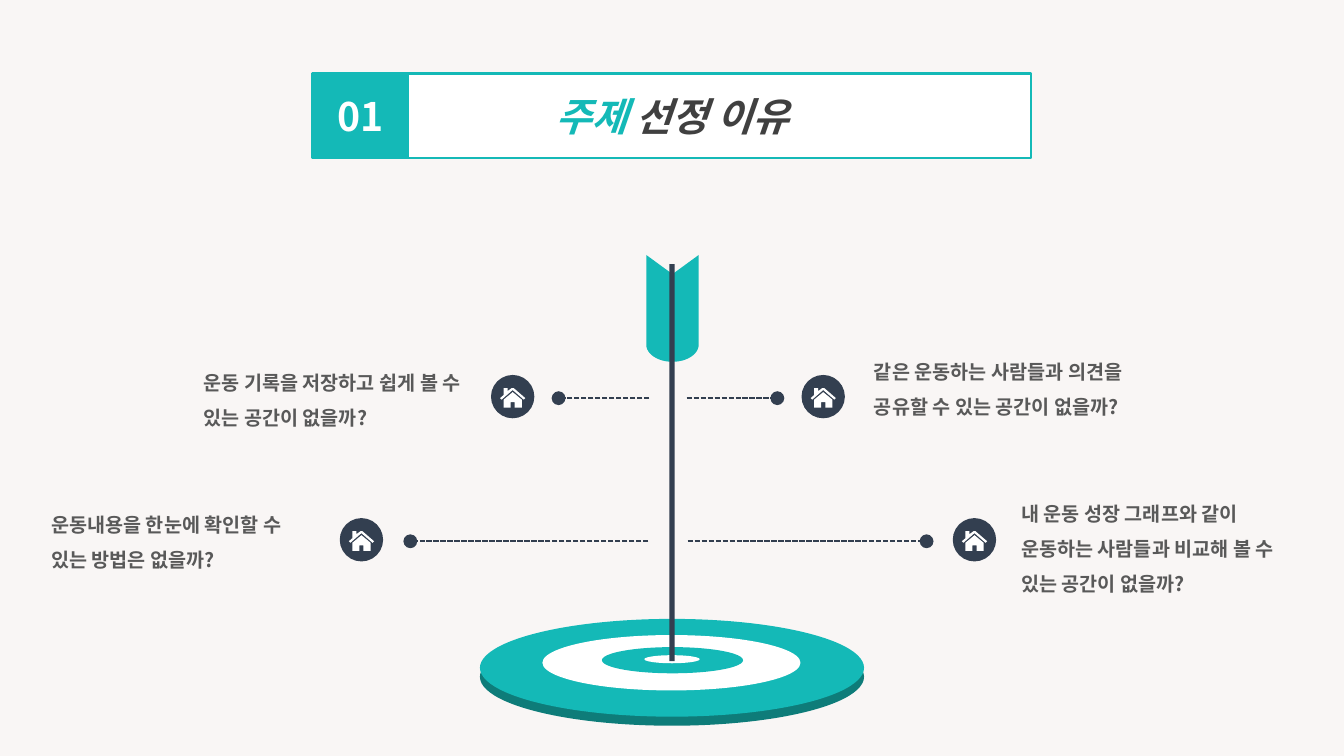
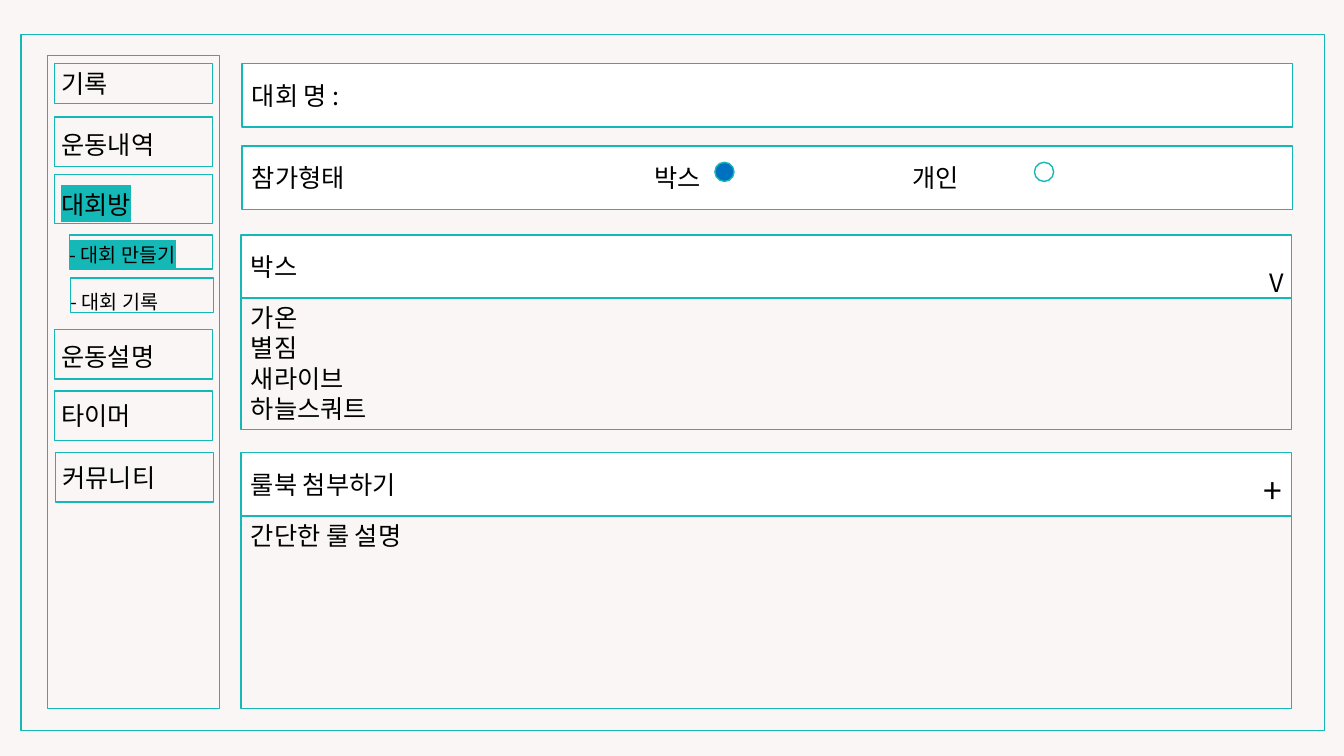
import math

import pptx
import pptx.dml.color
import pptx.enum.dml
import pptx.enum.shapes
import pptx.enum.text
import pptx.oxml.ns
import pptx.util
from lxml import etree

Inches = pptx.util.Inches
Pt = pptx.util.Pt
RGBColor = pptx.dml.color.RGBColor
SHAPE = pptx.enum.shapes.MSO_SHAPE
ALIGN = pptx.enum.text.PP_ALIGN
ANCHOR = pptx.enum.text.MSO_ANCHOR
qn = pptx.oxml.ns.qn

# Shared style
FONT = "Noto Sans CJK KR"
PAPER = RGBColor(0xF9, 0xF6, 0xF5)
TEAL = RGBColor(0x14, 0xB9, 0xB7)
DARK_TEAL = RGBColor(0x0E, 0x7C, 0x79)
NAVY = RGBColor(0x33, 0x3F, 0x50)
CHARCOAL = RGBColor(0x40, 0x40, 0x40)
GRAY = RGBColor(0x59, 0x59, 0x59)
BLUE = RGBColor(0x00, 0x70, 0xC0)
WHITE = RGBColor(0xFF, 0xFF, 0xFF)
BLACK = RGBColor(0x00, 0x00, 0x00)

# House icon outlines, in hundredths of an inch from the icon's centre
HOUSE_WALLS = [(0, -4.5), (9, 3), (9, 11), (2, 11), (2, 5.5), (-2, 5.5),
               (-2, 11), (-9, 11), (-9, 3)]
HOUSE_ROOF = [(-12.5, 1.5), (-9, -1.5), (-9, -8.5), (-5, -8.5), (-5, -5.5),
              (-1, -8.5), (1, -8.5), (12.5, 1.5), (11, 3), (0, -6.5), (-11, 3)]


# Building blocks
def add_slide(deck):
    slide = deck.slides.add_slide(deck.slide_layouts[6])
    slide.background.fill.solid()
    slide.background.fill.fore_color.rgb = PAPER
    return slide


def paint(shape, fill=None, line=None, width=1):
    shape.shadow.inherit = False
    if fill is None:
        shape.fill.background()
    else:
        shape.fill.solid()
        shape.fill.fore_color.rgb = fill
    if line is None:
        shape.line.fill.background()
    else:
        shape.line.color.rgb = line
        shape.line.width = Pt(width)
    return shape


def add_figure(slide, kind, box, fill=None, line=None, width=1):
    return paint(slide.shapes.add_shape(kind, *map(Inches, box)), fill, line, width)


def add_outline(slide, points, fill):
    corners = [(Inches(x), Inches(y)) for x, y in points]
    builder = slide.shapes.build_freeform(*corners[0])
    builder.add_line_segments(corners[1:], close=True)
    return paint(builder.convert_to_shape(), fill)


def style(paragraph, size, color, bold=None, italic=None, align=ALIGN.LEFT):
    paragraph.alignment = align
    font = paragraph.font
    font.size, font.bold, font.italic = Pt(size), bold, italic
    font.color.rgb = color
    font.name = FONT
    defaults = paragraph._p.get_or_add_pPr().get_or_add_defRPr()
    etree.SubElement(defaults, qn("a:ea")).set("typeface", FONT)


def write(shape, lines, size=18, color=BLACK, anchor=ANCHOR.MIDDLE, spacing=None,
          **looks):
    frame = shape.text_frame
    frame.word_wrap = True
    frame.vertical_anchor = anchor
    for index, line in enumerate(lines):
        paragraph = frame.add_paragraph() if index else frame.paragraphs[0]
        paragraph.add_run().text = line
        paragraph.line_spacing = spacing
        style(paragraph, size, color, **looks)
    return frame


def add_label(slide, box, text, **looks):
    label = slide.shapes.add_textbox(*map(Inches, box))
    return write(label, [text], anchor=ANCHOR.TOP, **looks)


def highlight(run, color):
    mark = etree.SubElement(run._r.get_or_add_rPr(), qn("a:highlight"))
    etree.SubElement(mark, qn("a:srgbClr")).set("val", str(color))


# Slide 1: reasons around a target
def add_title(slide, number, accent, rest):
    banner = add_figure(slide, SHAPE.RECTANGLE, (3.1, 0.73, 7.13, 0.84), WHITE, TEAL, 1.5)
    title = write(banner, [accent], 28, CHARCOAL, bold=True, italic=True,
                  align=ALIGN.CENTER).paragraphs[0]
    title.runs[0].font.color.rgb = TEAL
    title.add_run().text = rest
    badge = add_figure(slide, SHAPE.RECTANGLE, (3.1, 0.73, 0.95, 0.84), TEAL, TEAL)
    write(badge, [number], 28, WHITE, bold=True, align=ALIGN.CENTER)


def add_target(slide):
    rings = [
        ((4.76, 6.23, 3.81, 0.97), DARK_TEAL),
        ((4.76, 6.14, 3.81, 0.97), TEAL),
        ((5.38, 6.3, 2.56, 0.55), WHITE),
        ((5.97, 6.42, 1.4, 0.26), TEAL),
        ((6.39, 6.5, 0.55, 0.08), WHITE),
    ]
    for box, fill in rings:
        add_figure(slide, SHAPE.OVAL, box, fill)


def add_dart(slide):
    center, half, top, bend = 6.67, 0.26, 2.53, 3.42
    angles = [math.pi * step / 24 for step in range(25)]
    rounded_end = [(center + half * math.cos(a), bend + 0.17 * math.sin(a)) for a in angles]
    notch = [(center - half, top), (center, 2.72), (center + half, top)]
    add_outline(slide, notch + rounded_end, TEAL)
    add_figure(slide, SHAPE.RECTANGLE, (6.64, 2.62, 0.05, 3.94), NAVY)


def add_pointer(slide, start, end, y):
    pointer = slide.shapes.add_connector(
        pptx.enum.shapes.MSO_CONNECTOR.STRAIGHT,
        Inches(start), Inches(y), Inches(end), Inches(y))
    pointer.line.color.rgb = NAVY
    pointer.line.width = Pt(1.25)
    pointer.line.dash_style = pptx.enum.dml.MSO_LINE.SQUARE_DOT
    stroke = pointer.line._get_or_add_ln()
    stroke.find(qn("a:prstDash")).set("val", "sysDash")
    dot = etree.SubElement(stroke, qn("a:tailEnd"))
    for key, value in (("type", "oval"), ("w", "lg"), ("len", "lg")):
        dot.set(key, value)
    etree.SubElement(pointer._element.spPr, qn("a:effectLst"))


def add_house(slide, left, top):
    size = 0.43
    add_figure(slide, SHAPE.OVAL, (left, top, size, size), NAVY)
    x, y = left + size / 2, top + size / 2
    for outline in (HOUSE_WALLS, HOUSE_ROOF):
        add_outline(slide, [(x + dx / 100, y + dy / 100) for dx, dy in outline], WHITE)


def build_reasons(deck):
    slide = add_slide(deck)
    add_title(slide, "01", "주제 ", "선정 이유")
    add_target(slide)
    add_dart(slide)
    # pointer start, pointer end, pointer y, icon left, text left, text top, text
    reasons = [
        (6.81, 7.71, 3.95, 7.95, 8.57, 3.4, "같은 운동하는 사람들과 의견을 공유할 수 있는 공간이 없을까?"),
        (6.82, 9.19, 5.37, 9.45, 10.03, 4.81,
         "내 운동 성장 그래프와 같이 운동하는 사람들과 비교해 볼 수 있는 공간이 없을까?"),
        (6.44, 5.54, 3.95, 4.87, 1.92, 3.51, "운동 기록을 저장하고 쉽게 볼 수 있는 공간이 없을까?"),
        (6.43, 4.07, 5.37, 3.37, 0.41, 4.92, "운동내용을 한눈에 확인할 수 있는 방법은 없을까?"),
    ]
    for start, end, y, icon_left, text_left, text_top, reason in reasons:
        add_pointer(slide, start, end, y)
        add_label(slide, (text_left, text_top, 2.77, 1.12), reason,
                  size=14, color=GRAY, bold=True, spacing=1.5)
        add_house(slide, icon_left, y - 0.23)


# Slide 2: form for creating a contest
def add_menu_item(slide, label, box, drop, size, inset, active):
    item = add_figure(slide, SHAPE.RECTANGLE, box, PAPER, TEAL)
    frame = write(item, [label], size)
    frame.margin_left, frame.margin_right = Inches(inset), 0
    frame.margin_top, frame.margin_bottom = Inches(2 * drop), 0
    if active:
        highlight(frame.paragraphs[0].runs[0], TEAL)


def add_menu(slide):
    add_figure(slide, SHAPE.RECTANGLE, (0.47, 0.55, 1.71, 6.48), PAPER, TEAL)
    # label, box, text drop below the middle, active
    pages = [
        ("기록", (0.54, 0.63, 1.57, 0.4), 0, False),
        ("운동내역", (0.54, 1.16, 1.57, 0.49), 0.03, False),
        ("대회방", (0.54, 1.73, 1.57, 0.49), 0.05, True),
        ("운동설명", (0.54, 3.27, 1.57, 0.49), 0.02, False),
        ("타이머", (0.54, 3.88, 1.57, 0.49), 0, False),
        ("커뮤니티", (0.55, 4.49, 1.57, 0.49), 0, False),
    ]
    subpages = [
        ("- 대회 만들기", (0.69, 2.33, 1.42, 0.34), 0.03, True),
        ("- 대회 기록", (0.7, 2.76, 1.42, 0.34), 0.06, False),
    ]
    for label, box, drop, active in pages:
        add_menu_item(slide, label, box, drop, 18, 0.07, active)
    for label, box, drop, active in subpages:
        add_menu_item(slide, label, box, drop, 14, 0, active)


def add_field(slide, left, top, label):
    field = add_figure(slide, SHAPE.RECTANGLE, (left, top, 10.42, 0.63), WHITE, TEAL)
    write(field, [label])


def add_choice(slide, label, label_left, dot_left, fill):
    add_label(slide, (label_left, 1.56, 0.8, 0.4), label)
    add_figure(slide, SHAPE.OVAL, (dot_left, 1.61, 0.19, 0.19), fill, TEAL)


def add_section(slide, top, label, details, height):
    add_field(slide, 2.39, top, label)
    body = add_figure(slide, SHAPE.RECTANGLE, (2.39, top + 0.62, 10.42, height),
                      None, TEAL, 0.75)
    write(body, details, anchor=ANCHOR.TOP)


def build_contest_form(deck):
    slide = add_slide(deck)
    add_figure(slide, SHAPE.RECTANGLE, (0.21, 0.34, 12.93, 6.91), PAPER, TEAL)
    add_menu(slide)
    add_field(slide, 2.4, 0.63, "대회 명 :")
    add_field(slide, 2.4, 1.45, "참가형태")
    add_choice(slide, "박스", 6.39, 7.09, BLUE)
    add_choice(slide, "개인", 8.95, 10.26, WHITE)
    add_section(slide, 2.33, "박스", ["가온", "별짐", "새라이브", "하늘스쿼트"], 1.31)
    add_label(slide, (12.49, 2.6, 0.29, 0.4), "V")
    add_section(slide, 4.49, "룰북 첨부하기", ["간단한 룰 설명"], 1.92)
    add_label(slide, (12.43, 4.61, 0.29, 0.5), "+", size=24)


def main():
    deck = pptx.Presentation()
    deck.slide_width, deck.slide_height = Inches(13.33), Inches(7.5)
    build_reasons(deck)
    build_contest_form(deck)
    deck.save("out.pptx")


if __name__ == "__main__":
    main()
